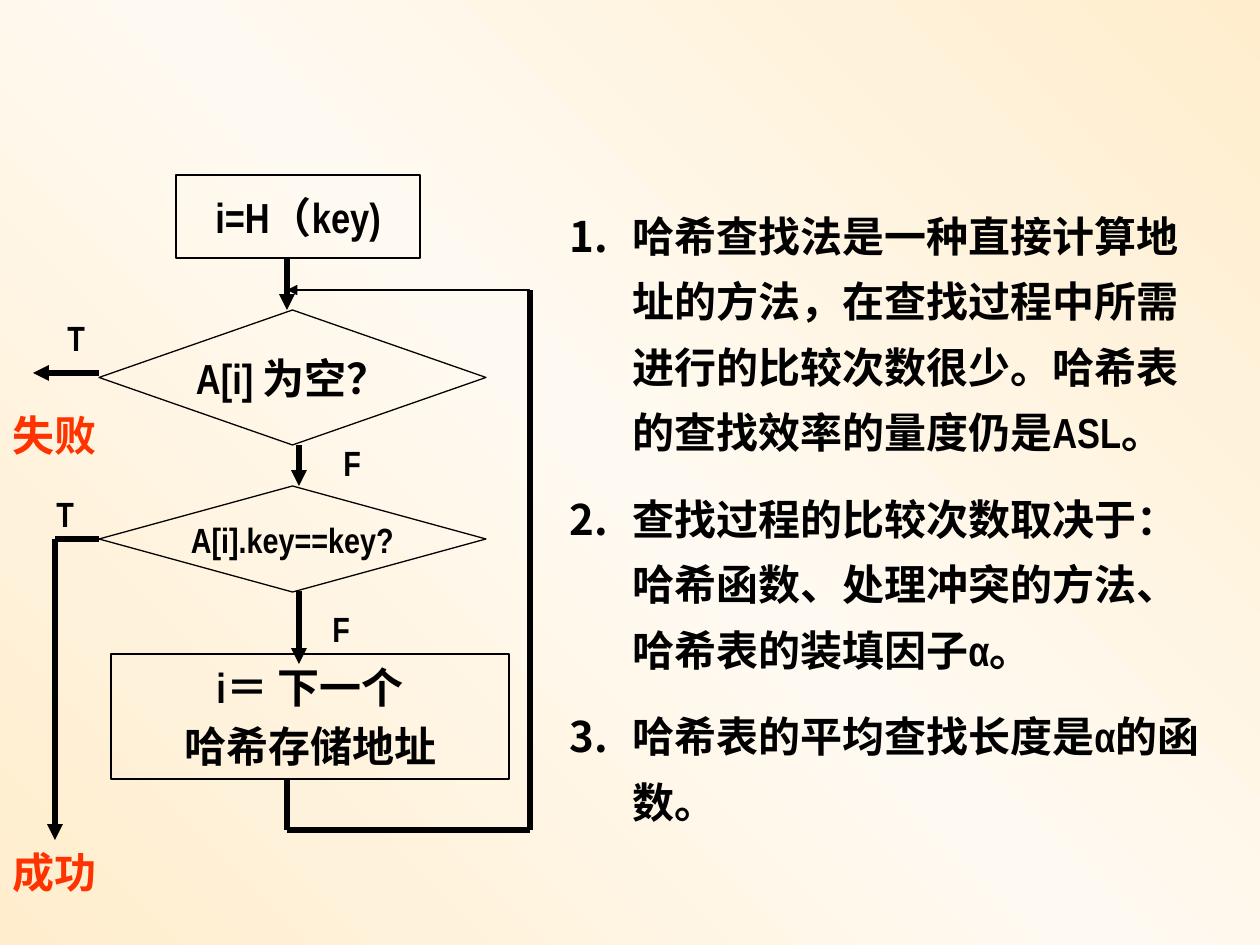
from copy import deepcopy

from lxml.etree import SubElement
from pptx import Presentation
from pptx.dml.color import RGBColor
from pptx.enum.shapes import MSO_CONNECTOR, MSO_SHAPE
from pptx.enum.text import MSO_ANCHOR, PP_ALIGN
from pptx.oxml.ns import qn
from pptx.util import Inches, Pt

BLACK = RGBColor(0x00, 0x00, 0x00)
RED = RGBColor(0xFF, 0x33, 0x00)
CREAM = RGBColor(0xFF, 0xED, 0xCD)
IVORY = RGBColor(0xFF, 0xFA, 0xF1)
SCALE = Inches(10) / 1260


def emu(*sizes):
    """Turn px lengths into EMU."""
    return [round(size * SCALE) for size in sizes]


class Chart:
    """Hold the style and the slide of a flow chart."""

    font = "Arial Narrow"

    def __init__(self, slide):
        self.slide = slide

    def backdrop(self, colors, angle):
        fill = self.slide.background.fill
        fill.gradient()
        fill.gradient_angle = angle
        stops = self.slide.element.find(".//" + qn("a:gsLst"))
        stops.insert(1, deepcopy(stops[0]))
        for num, (stop, color) in enumerate(zip(fill.gradient_stops, colors)):
            stop.color.rgb = color
            stop.position = num / (len(colors) - 1)

    def style(self, par, size, color=BLACK):
        par.font.name = self.font
        par.font.size = Pt(size)
        par.font.bold = True
        par.font.color.rgb = color

    def node(self, kind, box, text, size=24):
        shape = self.slide.shapes.add_shape(kind, *emu(*box))
        shape.shadow.inherit = False
        shape.fill.background()
        shape.line.color.rgb = BLACK
        shape.line.width = Pt(0.75)
        frame = shape.text_frame
        frame.text = text
        frame.word_wrap = False
        frame.vertical_anchor = MSO_ANCHOR.MIDDLE
        for num, par in enumerate(frame.paragraphs):
            par.alignment = PP_ALIGN.CENTER
            par.space_before = Pt(5 if num else 0)
            self.style(par, size)
        return shape

    def line(self, start, end, width=3, head=False):
        link = self.slide.shapes.add_connector(
            MSO_CONNECTOR.STRAIGHT, *emu(*start, *end))
        link.line.color.rgb = BLACK
        link.line.width = Pt(width)
        if head:
            SubElement(link.line._get_or_add_ln(), qn("a:tailEnd"), type="triangle")
        SubElement(link._element.spPr, qn("a:effectLst"))
        return link

    def label(self, box, text, size=20, color=BLACK):
        frame = self.slide.shapes.add_textbox(*emu(*box)).text_frame
        frame.word_wrap = True
        frame.text = text
        self.style(frame.paragraphs[0], size, color)

    def points(self, box, texts, indent):
        frame = self.slide.shapes.add_textbox(*emu(*box)).text_frame
        frame.word_wrap = True
        frame.text = "\n".join(texts)
        left, = emu(indent)
        for num, par in enumerate(frame.paragraphs):
            par.line_spacing = 1.3
            par.space_before = Pt(12 if num else 0)
            props = par._p.get_or_add_pPr()
            props.set("marL", str(left))
            props.set("indent", str(-left))
            tint = SubElement(props, qn("a:buClr"))
            SubElement(tint, qn("a:srgbClr"), val=str(BLACK))
            SubElement(props, qn("a:buAutoNum"), type="arabicPeriod")
            self.style(par, 24)


def main():
    """Build the hash search slide."""
    deck = Presentation()
    deck.slide_width, deck.slide_height = emu(1260, 945)
    chart = Chart(deck.slides.add_slide(deck.slide_layouts[6]))
    chart.backdrop([CREAM, IVORY, CREAM], 45)

    box, gate = MSO_SHAPE.FLOWCHART_PROCESS, MSO_SHAPE.FLOWCHART_DECISION
    chart.node(box, (176, 175, 244, 83), "i=H（key)")
    chart.node(gate, (99, 310, 387, 135), "A[i] 为空？")
    match = chart.node(gate, (99, 486, 387, 106), "A[i].key==key?", 20)
    chart.node(box, (111, 654, 398, 125), "i＝ 下一个\n哈希存储地址")

    arrows = [
        ((287, 258), (287, 310)),
        ((299, 445), (299, 486)),
        ((299, 591), (299, 664)),
        ((99, 373), (33, 373)),
        ((55, 539), (55, 840)),
    ]
    for start, end in arrows:
        chart.line(start, end, head=True)
    chart.line((99, 539), (55, 539)).begin_connect(match, 1)

    loop = [(287, 779), (287, 830), (530, 830), (530, 290)]
    for start, end in zip(loop, loop[1:]):
        chart.line(start, end)
    chart.line(loop[-1], (287, 290), 0.75, True)

    chart.label((55, 310, 67, 54), "T")
    chart.label((44, 486, 55, 55), "T")
    chart.label((331, 435, 122, 54), "F")
    chart.label((320, 601, 111, 54), "F")
    chart.label((0, 403, 122, 63), "失败", 24, RED)
    chart.label((0, 840, 210, 63), "成功", 24, RED)

    chart.points((557, 189, 661, 651), [
        "哈希查找法是一种直接计算地址的方法，在查找过程中所需进行的比较次数很少。"
        "哈希表的查找效率的量度仍是ASL。",
        "查找过程的比较次数取决于：哈希函数、处理冲突的方法、哈希表的装填因子α。",
        "哈希表的平均查找长度是α的函数。",
    ], 63)
    deck.save("out.pptx")


if __name__ == "__main__":
    main()
